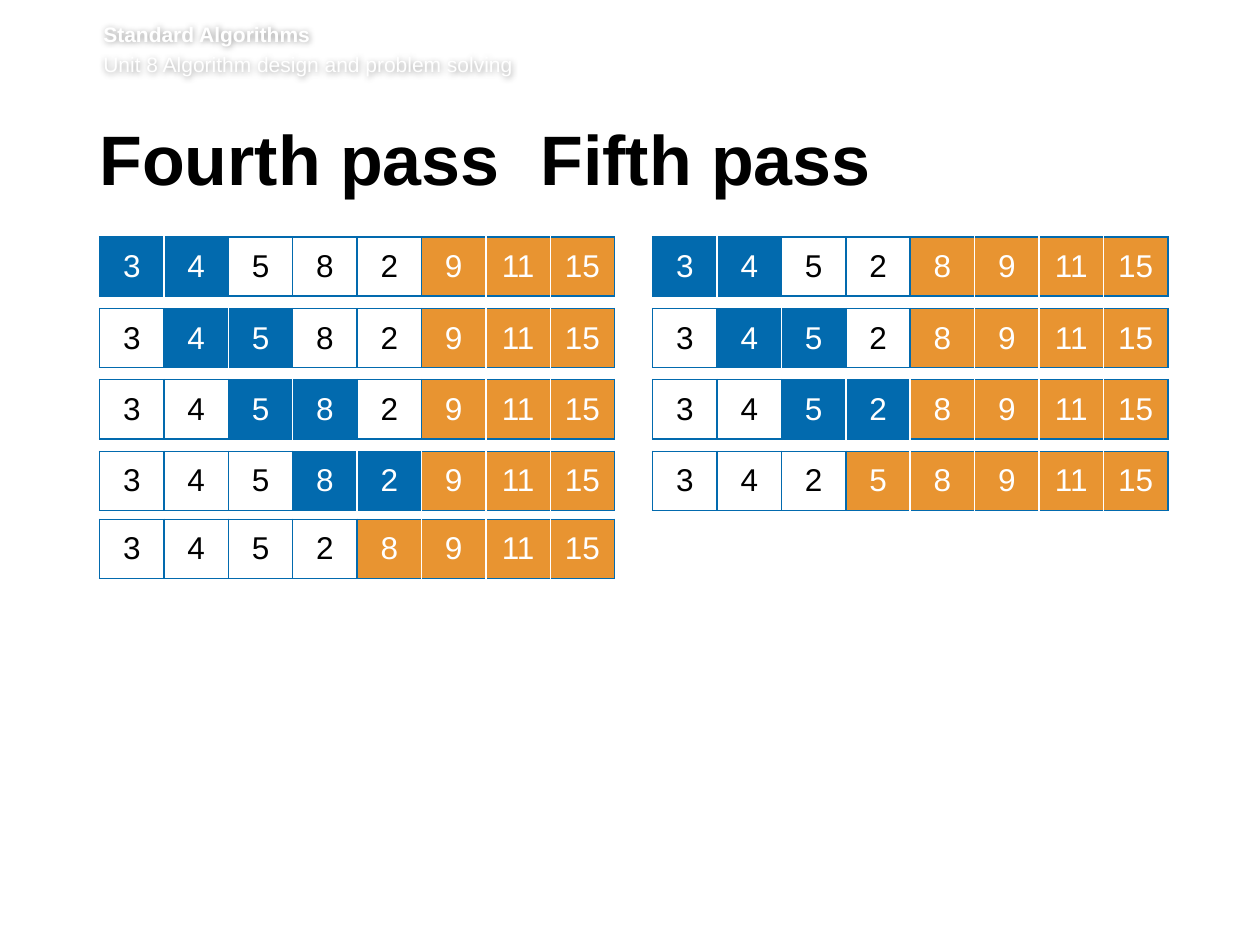
import lxml.etree
import pptx
import pptx.dml.color
import pptx.enum.text
import pptx.oxml.ns
import pptx.util

THEME = {
    "font": "Arial", "white": "FFFFFF", "black": "000000",
    "compared": "026AAE", "sorted": "E89431", "line": "026AAE",
    "header": 12, "title": 40, "cell": 18, "border": 1,
}
HEADER = [("Standard Algorithms", True), ("Unit 8 Algorithm design and problem solving", False)]
TITLE = "Fourth pass \tFifth pass"
TITLE_TAB = 3.5

# Each row: the values, the first of the two compared, the count already sorted.
PASSES = [
    [
        ([3, 4, 5, 8, 2, 9, 11, 15], 0, 3),
        ([3, 4, 5, 8, 2, 9, 11, 15], 1, 3),
        ([3, 4, 5, 8, 2, 9, 11, 15], 2, 3),
        ([3, 4, 5, 8, 2, 9, 11, 15], 3, 3),
        ([3, 4, 5, 2, 8, 9, 11, 15], None, 4),
    ],
    [
        ([3, 4, 5, 2, 8, 9, 11, 15], 0, 4),
        ([3, 4, 5, 2, 8, 9, 11, 15], 1, 4),
        ([3, 4, 5, 2, 8, 9, 11, 15], 2, 4),
        ([3, 4, 2, 5, 8, 9, 11, 15], None, 5),
    ],
]

WIDTH, HEIGHT = 10, 7.5
LEFT, TABLE_W, PASS_STEP = 0.79, 4.09, 4.39
ROW_H = 0.47
ROW_STARTS = [4, 5.21, 6.41, 7.62, 8.77]

inch = pptx.util.Inches
qn = pptx.oxml.ns.qn


def rgb(key):
    return pptx.dml.color.RGBColor.from_string(THEME[key])


def style(p, size, color, bold=False):
    for r in p.runs:
        r.font.name = THEME["font"]
        r.font.size = pptx.util.Pt(THEME[size])
        r.font.color.rgb = rgb(color)
        r.font.bold = bold


def add_text(s, left, top, width, height, text, margins):
    sp = s.shapes.add_textbox(*map(inch, (left, top, width, height)))
    tf = sp.text_frame
    tf.word_wrap = True
    tf.margin_left, tf.margin_top, tf.margin_right, tf.margin_bottom = map(inch, margins)
    tf.text = text
    return sp


def add_glow_shadow(sp):
    effects = lxml.etree.SubElement(sp._element.spPr, qn("a:effectLst"))
    shadow = lxml.etree.SubElement(effects, qn("a:outerShdw"), blurRad="50800", dist="0", dir="0", algn="ctr", rotWithShape="0")
    color = lxml.etree.SubElement(shadow, qn("a:srgbClr"), val=THEME["black"])
    lxml.etree.SubElement(color, qn("a:alpha"), val="40000")


def add_borders(cell, colors):
    pr = cell._tc.get_or_add_tcPr()
    for i, (side, color) in enumerate(zip("LRTB", colors)):
        ln = lxml.etree.Element(qn("a:ln" + side), w=str(pptx.util.Pt(THEME["border"])))
        fill = lxml.etree.SubElement(ln, qn("a:solidFill"))
        lxml.etree.SubElement(fill, qn("a:srgbClr"), val=THEME[color])
        pr.insert(i, ln)


def cell_fills(values, compared, done):
    fills = [None] * (len(values) - done) + ["sorted"] * done
    if compared is not None:
        fills[compared:compared + 2] = ["compared"] * 2
    return fills


def add_row(s, left, top, values, compared, done):
    n = len(values)
    table = s.shapes.add_table(1, n, inch(left), inch(top), inch(TABLE_W), inch(ROW_H)).table
    table.first_row = table.horz_banding = False
    fills = cell_fills(values, compared, done)
    edges = ["white" if a and b else "line" for a, b in zip([None] + fills, fills + [None])]
    for i, (value, fill) in enumerate(zip(values, fills)):
        table.columns[i].width = inch(TABLE_W / n)
        cell = table.cell(0, i)
        cell.vertical_anchor = pptx.enum.text.MSO_ANCHOR.MIDDLE
        cell.text = str(value)
        p = cell.text_frame.paragraphs[0]
        p.alignment = pptx.enum.text.PP_ALIGN.CENTER
        style(p, "cell", "white" if fill else "black")
        if fill:
            cell.fill.solid()
            cell.fill.fore_color.rgb = rgb(fill)
        else:
            cell.fill.background()
        add_borders(cell, (edges[i], edges[i + 1], "line", "line"))


def main():
    prs = pptx.Presentation()
    prs.slide_width, prs.slide_height = inch(WIDTH), inch(HEIGHT)
    s = prs.slides.add_slide(prs.slide_layouts[6])

    sp = add_text(s, 0.82, 0.17, 8.82, 0.49, "\n".join(t for t, _ in HEADER), (0, 0, 0, 0.05))
    add_glow_shadow(sp)
    for p, (_, bold) in zip(sp.text_frame.paragraphs, HEADER):
        style(p, "header", "white", bold)
    sp.text_frame.paragraphs[1].space_before = pptx.util.Pt(2.9)

    sp = add_text(s, LEFT, 0.99, 8.55, 0.73, TITLE, (0, 0.05, 0.1, 0.05))
    p = sp.text_frame.paragraphs[0]
    tabs = lxml.etree.SubElement(p._p.get_or_add_pPr(), qn("a:tabLst"))
    lxml.etree.SubElement(tabs, qn("a:tab"), pos=str(inch(TITLE_TAB)), algn="l")
    p.line_spacing = pptx.util.Pt(39)
    p.space_after = pptx.util.Pt(15)
    style(p, "title", "black", True)

    for i, rows in enumerate(PASSES):
        for start, row in zip(ROW_STARTS, rows):
            add_row(s, LEFT + i * PASS_STEP, start * ROW_H, *row)

    prs.save("out.pptx")


if __name__ == "__main__":
    main()
